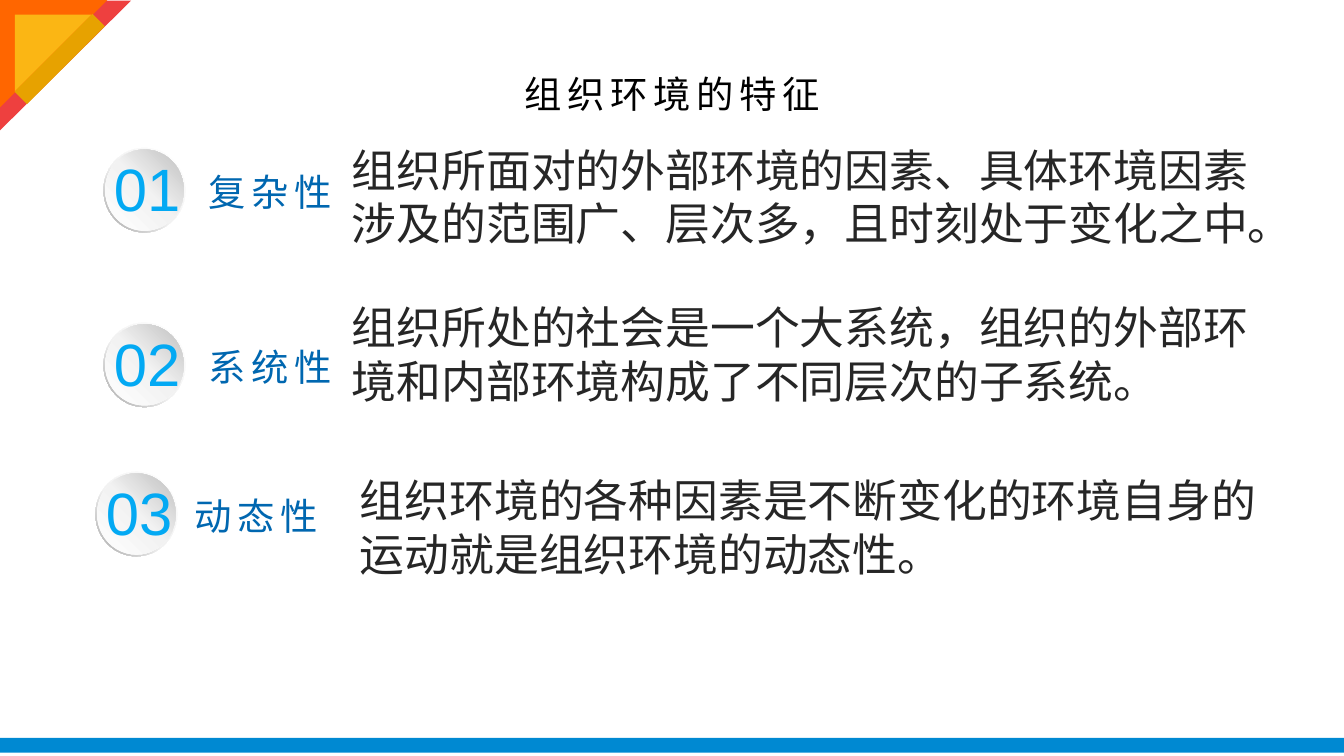
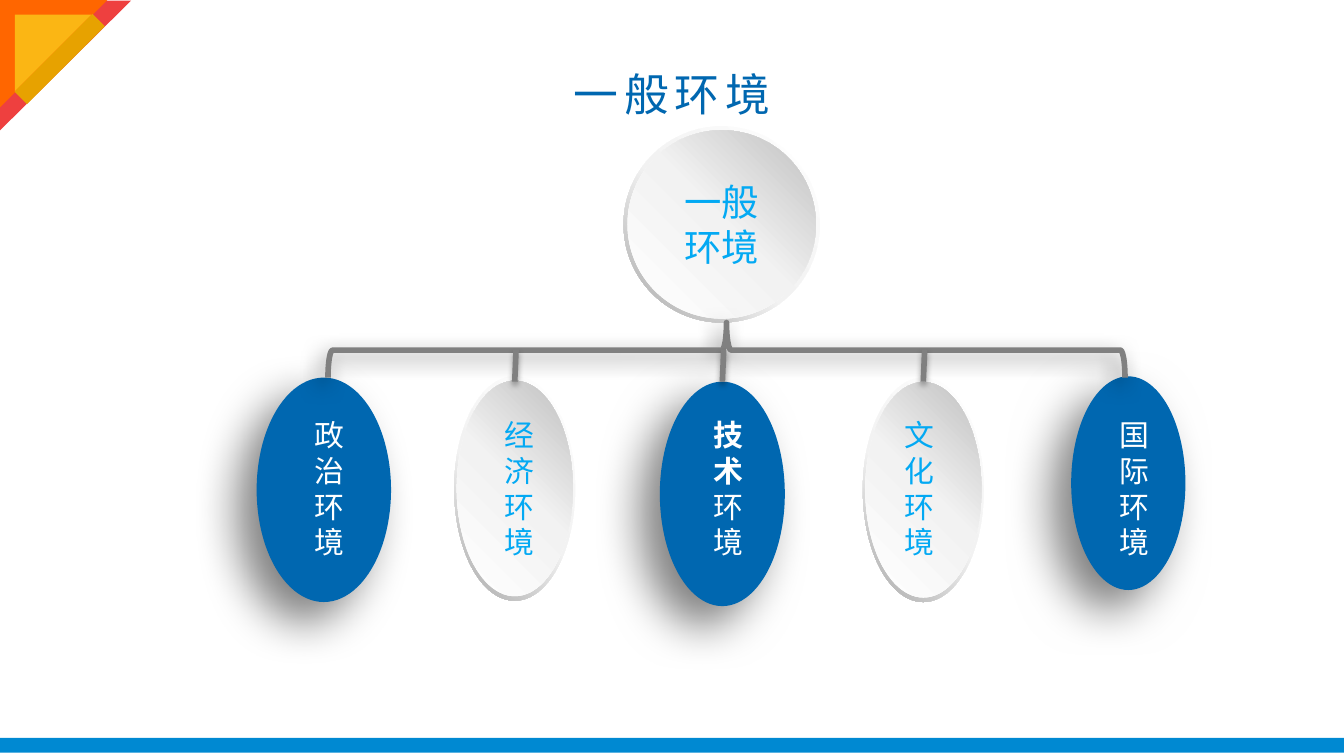
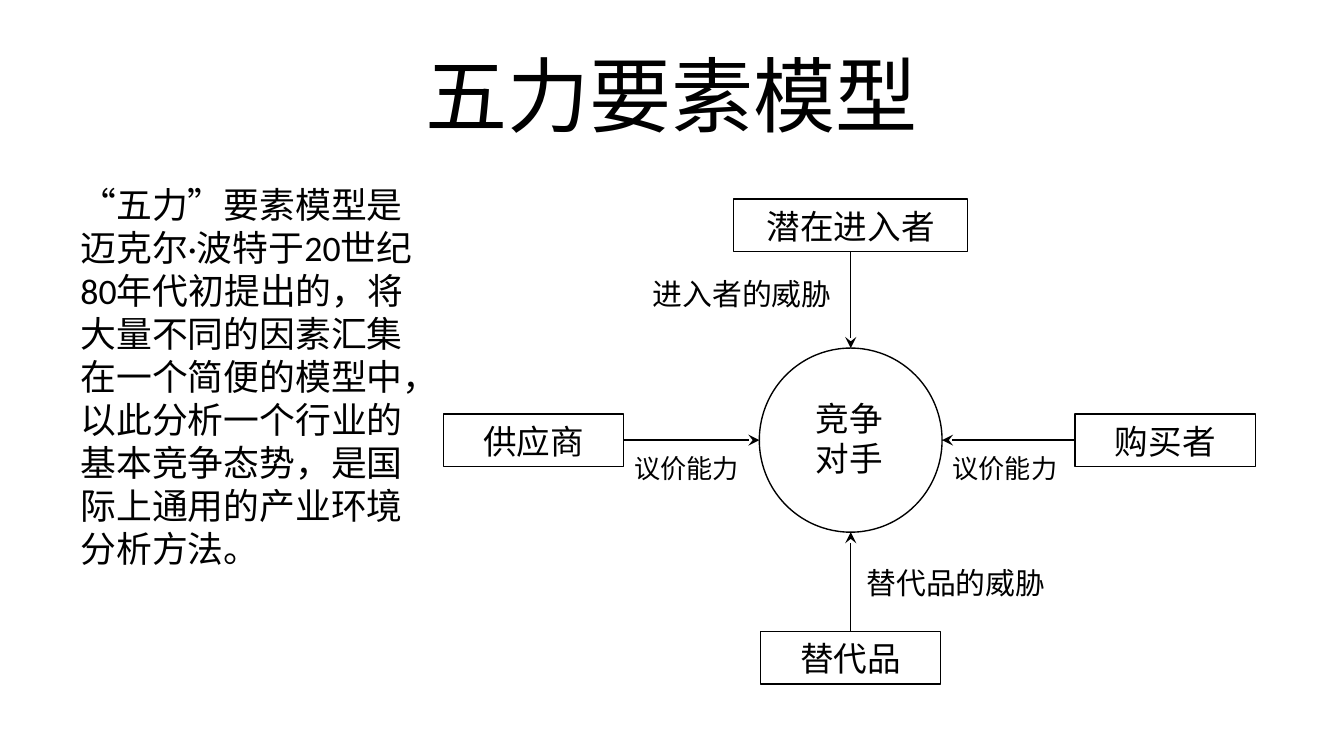
from lxml.etree import SubElement
from pptx import Presentation
from pptx.dml.color import RGBColor
from pptx.enum.shapes import MSO_CONNECTOR, MSO_SHAPE as Shape
from pptx.enum.text import MSO_ANCHOR as Anchor, MSO_AUTO_SIZE as AutoSize, PP_ALIGN as Align
from pptx.oxml import parse_xml
from pptx.oxml.ns import nsdecls, qn
from pptx.util import Inches, Pt

WIDTH = 10
HEIGHT = WIDTH * 9 / 16
LATIN, CHINESE, PLAIN = "Arial", "Noto Sans CJK SC", "Calibri"
COLORS = {
    "blue": "0067B0", "sky": "03A9F3", "band": "0089D2", "ink": "262626",
    "black": "000000", "white": "FFFFFF", "gray": "808080",
    "red": "EE403F", "orange": "FF6600", "yellow": "FBB614", "gold": "E7A200",
}
RIM = (135, [(0, "FFFFFF"), (55, "F2F2F2"), (100, "A6A6A6")])
FACE = (315, [(0, "FFFFFF"), (51, "F2F2F2"), (100, "BFBFBF")])
OVAL_SHADOW, BRACE_SHADOW, STEM_SHADOW = (50, 25, 15, 135), (50, 11, 5, 135), (35, 3.1, 1.8, 90)

CORNER = [
    (Shape.RIGHT_TRIANGLE, (0, 0, 0.97, 0.98), 90, "red"),
    (Shape.RIGHT_TRIANGLE, (0, 0, 0.8, 0.8), 90, "orange"),
    (Shape.RIGHT_TRIANGLE, (0.11, 0.11, 0.57, 0.57), 90, "yellow"),
    (Shape.RECTANGLE, (0.38, 0.03, 0.13, 0.82), 45, "gold"),
]

FEATURES = [
    ("复杂性", (0.77, 1.1), 1.45, (2.52, 1.01, 7.05),
     "组织所面对的外部环境的因素、具体环境因素涉及的范围广、层次多，且时刻处于变化之中。"),
    ("系统性", (0.77, 2.4), 1.45, (2.52, 2.18, 6.99),
     "组织所处的社会是一个大系统，组织的外部环境和内部环境构成了不同层次的子系统。"),
    ("动态性", (0.71, 3.51), 1.35, (2.58, 3.47, 6.92),
     "组织环境的各种因素是不断变化的环境自身的运动就是组织环境的动态性。"),
]

ENVIRONMENTS = [
    (["政治环境"], "solid", (1.91, 2.81, 1, 1.67), 0.33),
    (["经济环境"], "disc", (3.38, 2.8, 0.9, 1.67), 0.35),
    (["技术", "环境"], "solid", (4.91, 2.84, 0.93, 1.67), 0.33),
    (["文化环境"], "disc", (6.42, 2.81, 0.9, 1.67), 0.48),
    (["国际环境"], "solid", (7.97, 2.8, 0.85, 1.59), 0.33),
]

MODEL_TEXT = ("“五力”要素模型是迈克尔·波特于20世纪80年代初提出的，将大量不同的因素汇集在一个简便的模型中，"
              "以此分析一个行业的基本竞争态势，是国际上通用的产业环境分析方法。")
RIVALS = (5.65, 2.59, 1.36, 1.37)
FORCES = [
    ("潜在进入者", (5.46, 1.48, 1.74, 0.39), 2, (0.5, 0)),
    ("替代品", (5.66, 4.7, 1.34, 0.39), 0, (0.5, 1)),
    ("供应商", (3.3, 3.08, 1.34, 0.39), 3, (0, 0.5)),
    ("购买者", (8, 3.08, 1.34, 0.39), 1, (1, 0.5)),
]
PRESSURES = [
    ("议价能力", (6.99, 3.32, 1.03, 0.34), 14, PLAIN),
    ("议价能力", (4.62, 3.32, 1.04, 0.34), 14, CHINESE),
    ("进入者的威胁", (4.76, 2, 1.55, 0.37), 16, CHINESE),
    ("替代品的威胁", (6.35, 4.15, 1.66, 0.37), 16, CHINESE),
]
RIVALS_LABEL = ("竞争对手", (5.97, 2.91, 0.84, 0.71), 18, PLAIN)


def rgb(name):
    return RGBColor.from_string(COLORS[name])


def inches(values):
    return [Inches(value) for value in values]


def add_run(paragraph, text, size, color, font=LATIN, spacing=0, bold=None):
    run = paragraph.add_run()
    run.text = text
    run.font.size, run.font.bold = Pt(size), bold
    run.font.color.rgb = rgb(color)
    run.font.name = font
    properties = run._r.get_or_add_rPr()
    properties.set("lang", "zh-CN")
    if spacing:
        properties.set("spc", str(spacing * 100))
    SubElement(properties, qn("a:ea"), typeface=CHINESE)


def write(shape, text, size, color, align=Align.LEFT, anchor=Anchor.TOP, wrap=True, grow=False, **style):
    frame = shape.text_frame
    frame.word_wrap, frame.vertical_anchor = wrap, anchor
    if grow:
        frame.auto_size = AutoSize.SHAPE_TO_FIT_TEXT
    paragraph = frame.paragraphs[0]
    paragraph.alignment = align
    add_run(paragraph, text, size, color, **style)
    return paragraph


def add_text(slide, box, text, size, color, **options):
    return write(slide.shapes.add_textbox(*inches(box)), text, size, color, **options)


def add_title(slide, text, size, color, **style):
    add_text(slide, (0.5, 0.23, 9, 0.94), text, size, color,
             align=Align.CENTER, anchor=Anchor.MIDDLE, **style)


def add_shadow(element, alpha, blur, distance, angle):
    effects = element.spPr.find(qn("a:effectLst"))
    effects.append(parse_xml(
        f'<a:outerShdw {nsdecls("a")} blurRad="{Pt(blur)}" dist="{Pt(distance)}" dir="{angle * 60000}" '
        f'algn="ctr" rotWithShape="0"><a:srgbClr val="{COLORS["black"]}">'
        f'<a:alpha val="{alpha * 1000}"/></a:srgbClr></a:outerShdw>'))


def add_figure(slide, kind, box, fill=None, line=None, width=0.75, shadow=None, rotation=0):
    shape = slide.shapes.add_shape(kind, *inches(box))
    shape.rotation = rotation
    if fill:
        shape.fill.solid()
        shape.fill.fore_color.rgb = rgb(fill)
    else:
        shape.fill.background()
    if line:
        shape.line.color.rgb, shape.line.width = rgb(line), Pt(width)
    else:
        shape.line.fill.background()
    shape.shadow.inherit = False
    if shadow:
        add_shadow(shape._element, *shadow)
    return shape


def add_line(slide, start, end, color, width):
    connector = slide.shapes.add_connector(MSO_CONNECTOR.STRAIGHT, *inches(start + end))
    connector.line.color.rgb, connector.line.width = rgb(color), Pt(width)
    SubElement(connector._element.spPr, qn("a:effectLst"))
    return connector


def set_gradient(shape, angle, stops):
    colors = "".join(f'<a:gs pos="{place * 1000}"><a:srgbClr val="{color}"/></a:gs>' for place, color in stops)
    gradient = parse_xml(f'<a:gradFill {nsdecls("a")} rotWithShape="1"><a:gsLst>{colors}</a:gsLst>'
                         f'<a:lin ang="{angle * 60000}" scaled="0"/></a:gradFill>')
    properties = shape._element.spPr
    properties.replace(properties.find(qn("a:noFill")), gradient)


def add_disc(slide, box):
    left, top, width, height = box
    rim = add_figure(slide, Shape.DONUT, box)
    rim.adjustments[0] = 0.05
    set_gradient(rim, *RIM)
    inset = 0.02
    face = add_figure(slide, Shape.OVAL, (left + inset * width, top + inset * height,
                                          width * (1 - 2 * inset), height * (1 - 2 * inset)))
    set_gradient(face, *FACE)
    return face


def add_slide(presentation, decorated=True):
    slide = presentation.slides.add_slide(presentation.slide_layouts[6])
    if decorated:
        add_figure(slide, Shape.RECTANGLE, (0, 5.49, WIDTH, 0.11), "band")
        for kind, box, rotation, color in CORNER:
            add_figure(slide, kind, box, color, rotation=rotation)
    return slide


def build_features(presentation):
    slide = add_slide(presentation)
    add_title(slide, "组织环境的特征", 20, "black", spacing=3)
    for number, (name, (left, top), label_left, (body_left, body_top, body_width), text) in enumerate(FEATURES, 1):
        add_disc(slide, (left, top, 0.61, 0.63))
        add_text(slide, (left - 0.02, top - 0.02, 0.7, 0.64), f"{number:02}", 32, "sky", wrap=False, grow=True)
        add_text(slide, (label_left, top + 0.11, 1.16, 0.44), name, 20, "blue", wrap=False, grow=True, spacing=3)
        add_text(slide, (body_left, body_top, body_width, 0.91), text, 24, "ink", grow=True, font=CHINESE)


def build_environments(presentation):
    slide = add_slide(presentation)
    add_title(slide, "一般环境", 24, "blue", spacing=3)
    root = add_disc(slide, (4.64, 0.94, 1.46, 1.46))
    write(root, "一般环境", 20, "sky", align=Align.CENTER, anchor=Anchor.MIDDLE)
    for _, kind, box, _ in ENVIRONMENTS:
        if kind == "disc":
            add_disc(slide, box)
        else:
            add_figure(slide, Shape.OVAL, box, "blue", shadow=OVAL_SHADOW)
    add_figure(slide, Shape.LEFT_BRACE, (5.2, -0.36, 0.41, 5.93), line="gray", width=3,
               shadow=BRACE_SHADOW, rotation=90)
    for index, (parts, kind, (left, _, width, _), label_width) in enumerate(ENVIRONMENTS):
        center = left + width / 2
        if 0 < index < len(ENVIRONMENTS) - 1:
            stem = add_line(slide, (center + 0.01, 2.6), (center, 2.84), "gray", 3)
            add_shadow(stem._element, *STEM_SHADOW)
        color = "sky" if kind == "disc" else "white"
        emphasis = {"font": CHINESE, "bold": True} if len(parts) > 1 else {}
        paragraph = add_text(slide, (center - label_width / 2, 3.05, label_width, 1.18),
                             parts[0], 16, color, grow=True, **emphasis)
        for part in parts[1:]:
            add_run(paragraph, part, 16, color)


def add_label(slide, text, box, size, font):
    label = add_figure(slide, Shape.RECTANGLE, box, "white")
    write(label, text, size, "black", grow=True, font=font)


def build_five_forces(presentation):
    slide = add_slide(presentation, decorated=False)
    add_title(slide, "五力要素模型", 44, "black", font=PLAIN)
    add_text(slide, (0.5, 1.31, 2.8, 3.6), MODEL_TEXT, 19.2, "black", font=PLAIN)
    for pressure in PRESSURES:
        add_label(slide, *pressure)
    add_figure(slide, Shape.OVAL, RIVALS, "white", "black")
    add_label(slide, *RIVALS_LABEL)
    left, top, width, height = RIVALS
    for name, box, side, (across, down) in FORCES:
        force = add_figure(slide, Shape.RECTANGLE, box, "white", "black")
        write(force, name, 18, "black", align=Align.CENTER, font=PLAIN)
        target = (left + across * width, top + down * height)
        arrow = add_line(slide, target, target, "black", 0.75)
        arrow.begin_connect(force, side)
        SubElement(arrow.line._get_or_add_ln(), qn("a:tailEnd"), type="stealth")


def main():
    presentation = Presentation()
    presentation.slide_width, presentation.slide_height = Inches(WIDTH), Inches(HEIGHT)
    build_features(presentation)
    build_environments(presentation)
    build_five_forces(presentation)
    presentation.save("out.pptx")


if __name__ == "__main__":
    main()
